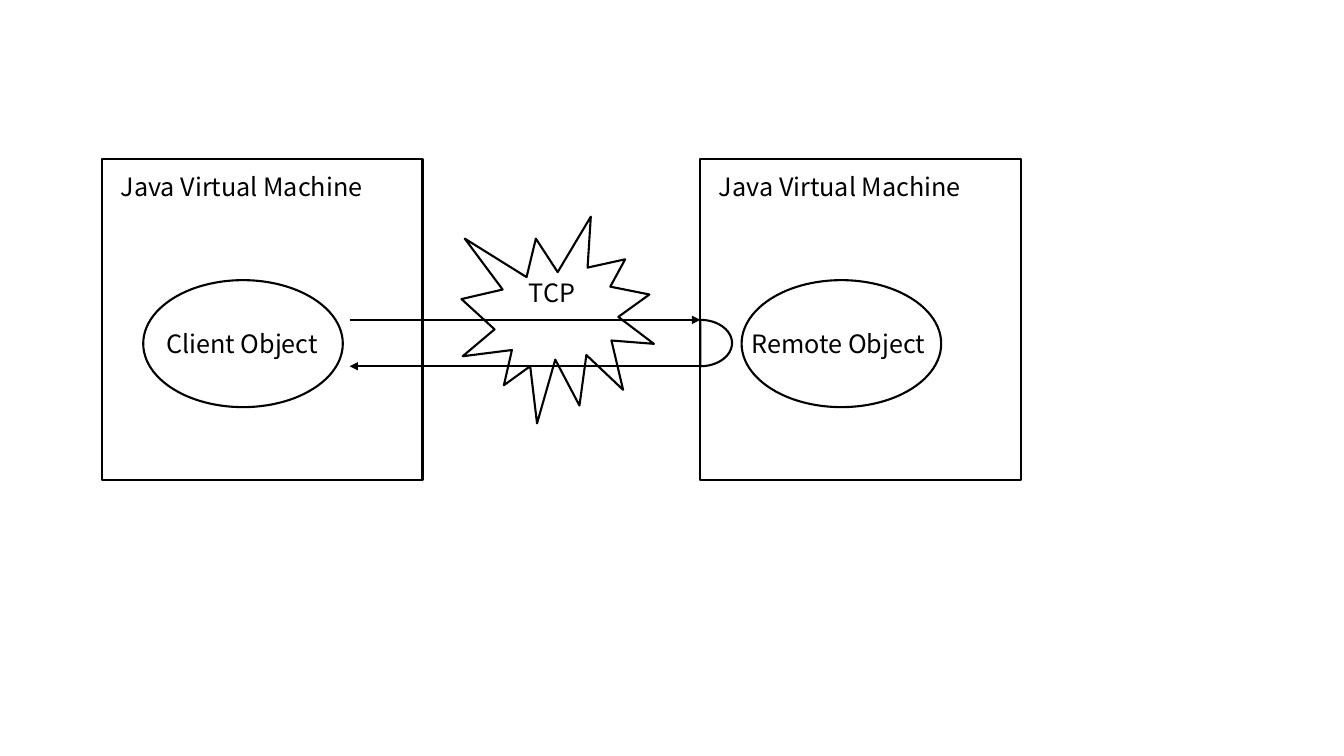
from lxml import etree
from pptx import Presentation
from pptx.dml.color import RGBColor
from pptx.enum.shapes import MSO_CONNECTOR, MSO_SHAPE
from pptx.oxml.ns import qn
from pptx.util import Cm, Pt

RECTANGLE, OVAL = MSO_SHAPE.RECTANGLE, MSO_SHAPE.OVAL
PIE, BURST = MSO_SHAPE.PIE, MSO_SHAPE.EXPLOSION1
STRAIGHT = MSO_CONNECTOR.STRAIGHT
COLORS = {"ink": "000000"}
FONT = "Noto Sans CJK SC"
INK = RGBColor.from_string(COLORS["ink"])

deck = Presentation()
deck.slide_width, deck.slide_height = Cm(33.87), Cm(19.05)
page = deck.slides.add_slide(deck.slide_layouts[6])


def add_outline(kind, left, top, width, height):
    shape = page.shapes.add_shape(kind, Cm(left), Cm(top), Cm(width), Cm(height))
    shape.shadow.inherit = False
    shape.fill.background()
    shape.line.color.rgb = INK
    shape.line.width = Pt(1.5)
    return shape


def add_label(text, left, top, width):
    box = page.shapes.add_textbox(Cm(left), Cm(top), Cm(width), Cm(1.02))
    box.text_frame.word_wrap = True
    span = box.text_frame.paragraphs[0].add_run()
    span.text = text
    span.font.name = FONT
    span.font.size = Pt(18)
    span.font.color.rgb = INK


# Two virtual machines, each holding one object
client_left, remote_left = 2.57, 17.65
machines = [
    (client_left, "Client Object", 1.37),
    (remote_left, "Remote Object", 1.04),
]
for left, object_name, name_indent in machines:
    add_outline(RECTANGLE, left, 4.01, 8.08, 8.08)
    add_label("Java Virtual Machine", left + 0.22, 4.19, 7.24)
    add_outline(OVAL, left + 1.04, 7.06, 5.03, 3.2)
    add_label(object_name, left + name_indent, 8.15, 7.24)

# Request and reply arrows
arrow_left, request_y, reply_y = 8.81, 8.06, 9.23
arrows = [
    (arrow_left, remote_left, request_y),
    (remote_left, arrow_left, reply_y),
]
for start, end, y in arrows:
    arrow = page.shapes.add_connector(STRAIGHT, Cm(start), Cm(y), Cm(end), Cm(y))
    arrow.line.color.rgb = INK
    arrow.line.width = Pt(1.5)
    properties = arrow._element.spPr
    line = properties.find(qn("a:ln"))
    etree.SubElement(line, qn("a:tailEnd"), type="triangle")
    etree.SubElement(properties, qn("a:effectLst"))

# Half circle joining the arrows: angles in 60000ths of a degree over 100000
turn = add_outline(PIE, remote_left - 0.8, request_y, 1.6, reply_y - request_y)
turn.adjustments[0] = 270 * 0.6
turn.adjustments[1] = 90 * 0.6

# Network burst
add_outline(BURST, 11.63, 5.46, 4.85, 5.21)
add_label("TCP", 13.08, 6.86, 1.93)

deck.save("out.pptx")
